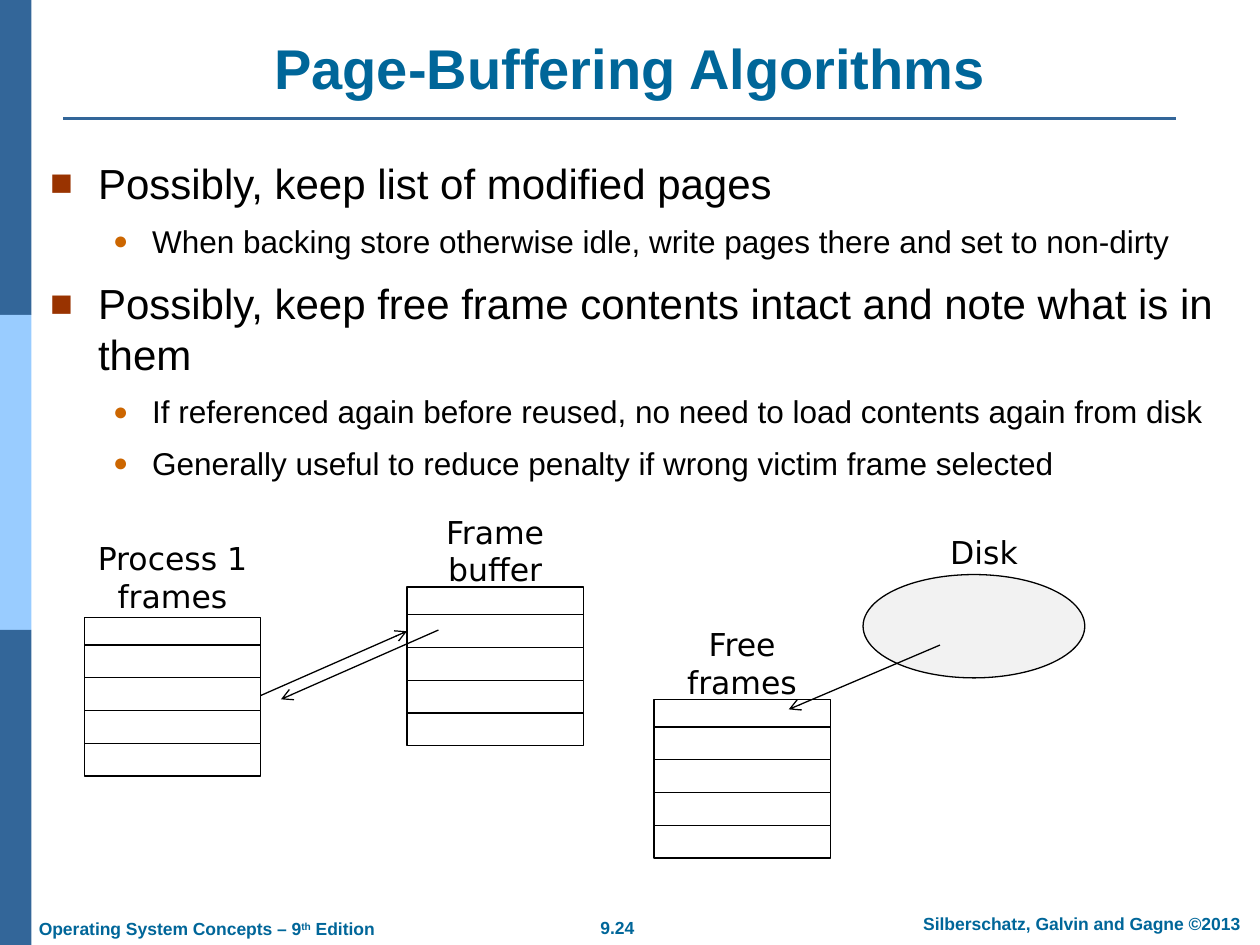
import pptx
import pptx.util
import pptx.dml.color
import pptx.enum.shapes
import pptx.enum.text
import pptx.oxml
import pptx.oxml.ns
from lxml import etree

Inches, Pt = pptx.util.Inches, pptx.util.Pt
Shape = pptx.enum.shapes.MSO_SHAPE
Align = pptx.enum.text.PP_ALIGN
Anchor = pptx.enum.text.MSO_ANCHOR
qn = pptx.oxml.ns.qn

COLORS = {
    "white": "FFFFFF", "black": "000000", "bar": "336699", "light": "99CCFF",
    "title": "006699", "square": "993300", "dot": "CC6600", "disk": "F2F2F2",
}
LEVELS = [
    dict(left=0.38, hang=0.38, mark="■", tint="square", scale=90, size=24, before=10.5),
    dict(left=0.81, hang=0.31, mark="●", tint="dot", scale=80, size=18, before=7.9),
]
POINTS = [
    (0, "Possibly, keep list of modified pages"),
    (1, "When backing store otherwise idle, write pages there and set to non-dirty"),
    (0, "Possibly, keep free frame contents intact and note what is in them"),
    (1, "If referenced again before reused, no need to load contents again from disk"),
    (1, "Generally useful to reduce penalty if wrong victim frame selected"),
]


def rgb(name):
    return pptx.dml.color.RGBColor.from_string(COLORS[name])


def write(para, text, size=18, font="Arial", color="black", bold=False,
          align=Align.LEFT, raised=False):
    """Add one formatted run to a paragraph."""
    para.alignment = align
    run = para.add_run()
    run.text = text
    run.font.size, run.font.name, run.font.bold = Pt(size), font, bold
    run.font.color.rgb = rgb(color)
    if raised:
        run.font._element.set("baseline", "30000")


def add_text(shapes, x, y, w, h):
    frame = shapes.add_textbox(Inches(x), Inches(y), Inches(w), Inches(h)).text_frame
    frame.word_wrap = True
    return frame


def add_box(shapes, kind, x, y, w, h, fill, line=None):
    shape = shapes.add_shape(kind, Inches(x), Inches(y), Inches(w), Inches(h))
    shape.shadow.inherit = False
    shape.fill.solid()
    shape.fill.fore_color.rgb = rgb(fill)
    if line:
        shape.line.color.rgb = rgb(line)
        shape.line.width = Pt(0.75)
    else:
        shape.line.fill.background()


def add_line(shapes, x1, y1, x2, y2, color="black", width=0.75, arrow=True):
    line = shapes.add_connector(pptx.enum.shapes.MSO_CONNECTOR.STRAIGHT,
                                Inches(x1), Inches(y1), Inches(x2), Inches(y2))
    line.line.color.rgb = rgb(color)
    line.line.width = Pt(width)
    if arrow:
        etree.SubElement(line.line._get_or_add_ln(), qn("a:tailEnd"), type="arrow")
    etree.SubElement(line._element.spPr, qn("a:effectLst"))


def add_bullet(para, left, hang, mark, tint, scale):
    props = para._p.get_or_add_pPr()
    props.set("marL", str(Inches(left)))
    props.set("indent", str(-Inches(hang)))
    tone = etree.SubElement(props, qn("a:buClr"))
    etree.SubElement(tone, qn("a:srgbClr"), val=COLORS[tint])
    etree.SubElement(props, qn("a:buSzPct"), val=str(scale * 1000))
    etree.SubElement(props, qn("a:buFont"), typeface="Arial")
    etree.SubElement(props, qn("a:buChar"), char=mark)


def add_frame(shapes):
    """Draw the side bar and the rule under the title."""
    for i, fill in enumerate(["bar", "light", "bar"]):
        add_box(shapes, Shape.RECTANGLE, 0, 2.5 * i, 0.25, 2.5, fill)
    add_line(shapes, 0.5, 0.94, 9.33, 0.94, "bar", 1.5, arrow=False)


def add_footer(shapes):
    look = dict(size=10, color="title", bold=True)
    number = add_text(shapes, 4.41, 7.23, 0.98, 0.27)
    write(number.paragraphs[0], "9.24", align=Align.CENTER, **look)
    credit = add_text(shapes, 7.1, 7.2, 2.97, 0.27)
    write(credit.paragraphs[0], "Silberschatz, Galvin and Gagne ©2013",
          align=Align.CENTER, **look)
    book = add_text(shapes, 0.21, 7.24, 3.1, 0.27).paragraphs[0]
    write(book, "Operating System Concepts – 9", **look)
    write(book, "th", raised=True, **look)
    write(book, " Edition", **look)


def set_title(title, x, y, w, h):
    title.left, title.top = Inches(x), Inches(y)
    title.width, title.height = Inches(w), Inches(h)
    title.text_frame.vertical_anchor = Anchor.BOTTOM
    write(title.text_frame.paragraphs[0], "Page-Buffering Algorithms",
          size=32, color="title", bold=True, align=Align.CENTER)


def add_points(shapes, x, y, w, h):
    frame = add_text(shapes, x, y, w, h)
    for i, (level, text) in enumerate(POINTS):
        para = frame.add_paragraph() if i else frame.paragraphs[0]
        look = dict(LEVELS[level])
        size, before = look.pop("size"), look.pop("before")
        para.level = level
        add_bullet(para, **look)
        if i:
            para.space_before = Pt(before)
        write(para, text, size=size)


def add_label(shapes, x, y, h, lines):
    frame = add_text(shapes, x, y, 1.4, h)
    for i, text in enumerate(lines):
        para = frame.add_paragraph() if i else frame.paragraphs[0]
        write(para, text, font="DejaVu Sans", align=Align.CENTER)


def add_stack(shapes, x, y, label, lift):
    """Draw five memory frames with a label that starts lift above them."""
    head, pitch = 0.22, 0.26
    add_box(shapes, Shape.RECTANGLE, x, y, 1.4, head, "white", "black")
    for i in range(4):
        add_box(shapes, Shape.RECTANGLE, x, y + head + i * pitch, 1.4, pitch,
                "white", "black")
    add_label(shapes, x, y - lift, 0.7, label)


def add_diagram(shapes, x, y):
    add_label(shapes, x + 6.44, y + 0.16, 0.4, ["Disk"])
    add_stack(shapes, x + 2.56, y + 0.64, ["Frame buffer"], 0.64)
    add_stack(shapes, x, y + 0.88, ["Process 1", "frames"], 0.67)
    add_stack(shapes, x + 4.52, y + 1.53, ["Free frames"], 0.64)
    add_box(shapes, Shape.OVAL, x + 6.18, y + 0.54, 1.76, 0.82, "disk", "black")
    add_line(shapes, x + 1.4, y + 1.5, x + 2.56, y + 0.99)
    add_line(shapes, x + 6.79, y + 1.1, x + 5.59, y + 1.61)
    add_line(shapes, x + 2.81, y + 0.98, x + 1.56, y + 1.53)


def main():
    deck = pptx.Presentation()
    deck.slide_width, deck.slide_height = Inches(10), Inches(7.5)
    slide = deck.slides.add_slide(deck.slide_layouts.get_by_name("Title Only"))
    add_frame(slide.shapes)
    add_footer(slide.shapes)
    set_title(slide.shapes.title, 0.5, 0.22, 9, 0.63)
    add_points(slide.shapes, 0.3, 1.2, 9.54, 5.55)
    add_diagram(slide.shapes.add_group_shape().shapes, 0.67, 4.02)
    deck.save("out.pptx")


if __name__ == "__main__":
    main()
